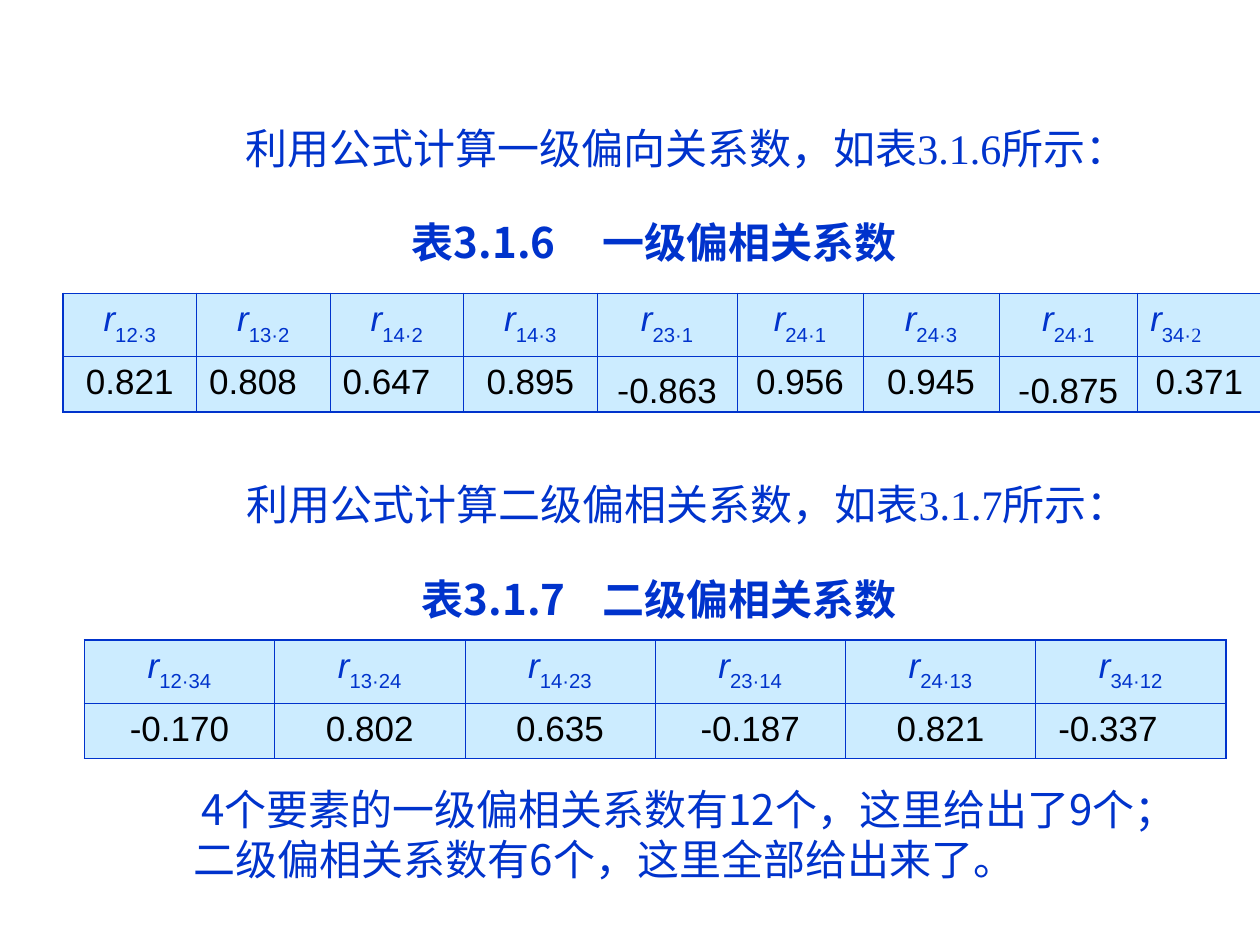
from lxml import etree
from pptx import Presentation
from pptx.dml.color import RGBColor
from pptx.enum.text import MSO_AUTO_SIZE, PP_ALIGN
from pptx.oxml.ns import qn
from pptx.util import Inches, Pt

BLUE = RGBColor(0x00, 0x33, 0xCC)
PALE = RGBColor(0xCC, 0xEC, 0xFF)
BLACK = RGBColor(0, 0, 0)
SANS, SERIF, HAN = "Arial", "Times New Roman", "Noto Sans CJK SC"
LEFT, MID, JUST = PP_ALIGN.LEFT, PP_ALIGN.CENTER, PP_ALIGN.JUSTIFY
GROW = MSO_AUTO_SIZE.SHAPE_TO_FIT_TEXT
THICK, THIN = Pt(1.08), Pt(0.45)
HANG = 0.38


class Page:
    """Holds the style and the current slide."""

    def __init__(self, deck):
        self.slide = deck.slides.add_slide(deck.slide_layouts[6])

    def style(self, para, size, name, color=BLUE, bold=False):
        font = para.font
        font.size, font.name, font.bold = Pt(size), name, bold
        font.color.rgb = color
        props = para._p.get_or_add_pPr().find(qn("a:defRPr"))
        etree.SubElement(props, qn("a:ea")).set("typeface", HAN)

    def box(self, left, top, width, height, text):
        frame = self.slide.shapes.add_textbox(
            Inches(left), Inches(top), Inches(width), Inches(height)).text_frame
        frame.word_wrap = True
        para = frame.paragraphs[0]
        para.text = text
        return frame, para

    def body(self, left, top, width, height, text, name, first):
        para = self.box(left, top, width, height, text)[1]
        props = para._p.get_or_add_pPr()
        props.set("marL", str(Inches(HANG)))
        props.set("indent", str(Inches(first - HANG)))
        self.style(para, 24, name)

    def title(self, left, top, label, text, stop):
        frame, para = self.box(left, top, 4.42, 0.5, f"{label}\t{text}")
        frame.auto_size = GROW
        tabs = etree.SubElement(para._p.get_or_add_pPr(), qn("a:tabLst"))
        tab = etree.SubElement(tabs, qn("a:tab"))
        tab.set("pos", str(Inches(stop)))
        tab.set("algn", "l")
        self.style(para, 24, HAN, bold=True)

    def edge(self, cell, side, width):
        line = etree.SubElement(cell._tc.get_or_add_tcPr(), qn(f"a:ln{side}"))
        line.set("w", str(width))
        fill = etree.SubElement(line, qn("a:solidFill"))
        etree.SubElement(fill, qn("a:srgbClr")).set("val", str(BLUE))

    def grid(self, left, top, widths, heads, values):
        table = self.slide.shapes.add_table(
            2, len(widths), Inches(left), Inches(top),
            Inches(sum(widths)), Inches(0.94)).table
        table.first_row = table.horz_banding = False
        for row, height in zip(table.rows, (0.5, 0.44)):
            row.height = Inches(height)
        last = len(widths) - 1
        for col, width in enumerate(widths):
            table.columns[col].width = Inches(width)
            for row in range(2):
                cell = table.cell(row, col)
                outer = {"L": col == 0, "R": col == last,
                         "T": row == 0, "B": row == 1}
                for side, out in outer.items():
                    self.edge(cell, side, THICK if out else THIN)
                cell.fill.solid()
                cell.fill.fore_color.rgb = PALE
                para = cell.text_frame.paragraphs[0]
                para.alignment = MID
                self.style(para, 20, SANS, BLACK if row else BLUE)
            self.symbol(table.cell(0, col), heads[col])
            table.cell(1, col).text_frame.paragraphs[0].add_run().text = values[col]
        return table

    def symbol(self, cell, index):
        para = cell.text_frame.paragraphs[0]
        run = para.add_run()
        run.text = "r"
        run.font.italic = True
        self.lower(para, index)

    def lower(self, para, text):
        run = para.add_run()
        run.text = text
        run._r.get_or_add_rPr().set("baseline", "-30000")
        return run


def main():
    deck = Presentation()
    deck.slide_width, deck.slide_height = Inches(10), Inches(7.5)
    page = Page(deck)

    page.body(1.33, 0.92, 8.67, 0.58,
              "利用公式计算一级偏向关系数，如表3.1.6所示：", SERIF, 0.52)
    page.title(3.17, 1.67, "表3.1.6", "一级偏相关系数", 1.51)
    first = page.grid(
        0.5, 2.33, [1.06] * 4 + [1.11, 1, 1.08, 1.1, 0.98],
        ["12·3", "13·2", "14·2", "14·3", "23·1", "24·1", "24·3", "24·1", "34·"],
        ["0.821", "0.808", "0.647", "0.895", "", "0.956", "0.945", "", "0.371"])
    end = first.cell(0, 8).text_frame.paragraphs[0]
    end.alignment = LEFT
    page.lower(end, "2").font.name = SERIF
    for col in (1, 2):
        first.cell(1, col).text_frame.paragraphs[0].alignment = JUST
    for col, value in ((4, "0.863"), (7, "0.875")):
        para = first.cell(1, col).text_frame.paragraphs[0]
        sign = para.runs[0]
        sign.text, sign.font.name = "-", HAN
        para.add_run().text = value

    page.body(1.5, 3.75, 8.5, 0.58,
              "利用公式计算二级偏相关系数，如表3.1.7所示：", SERIF, 0.36)
    page.title(3.25, 4.5, "表3.1.7", "二级偏相关系数", 1.43)
    second = page.grid(
        0.67, 5.08, [1.51] * 6,
        ["12·34", "13·24", "14·23", "23·14", "24·13", "34·12"],
        ["-0.170", "0.802", "0.635", "-0.187", "0.821", "-0.337"])
    cell = second.cell(1, 5)
    cell.margin_left = Inches(0.18)
    cell.text_frame.paragraphs[0].alignment = LEFT

    page.body(1.06, 6.17, 8.65, 1.33,
              "4个要素的一级偏相关系数有12个，这里给出了9个；"
              "二级偏相关系数有6个，这里全部给出来了。", HAN, 0.44)
    deck.save("out.pptx")


if __name__ == "__main__":
    main()
